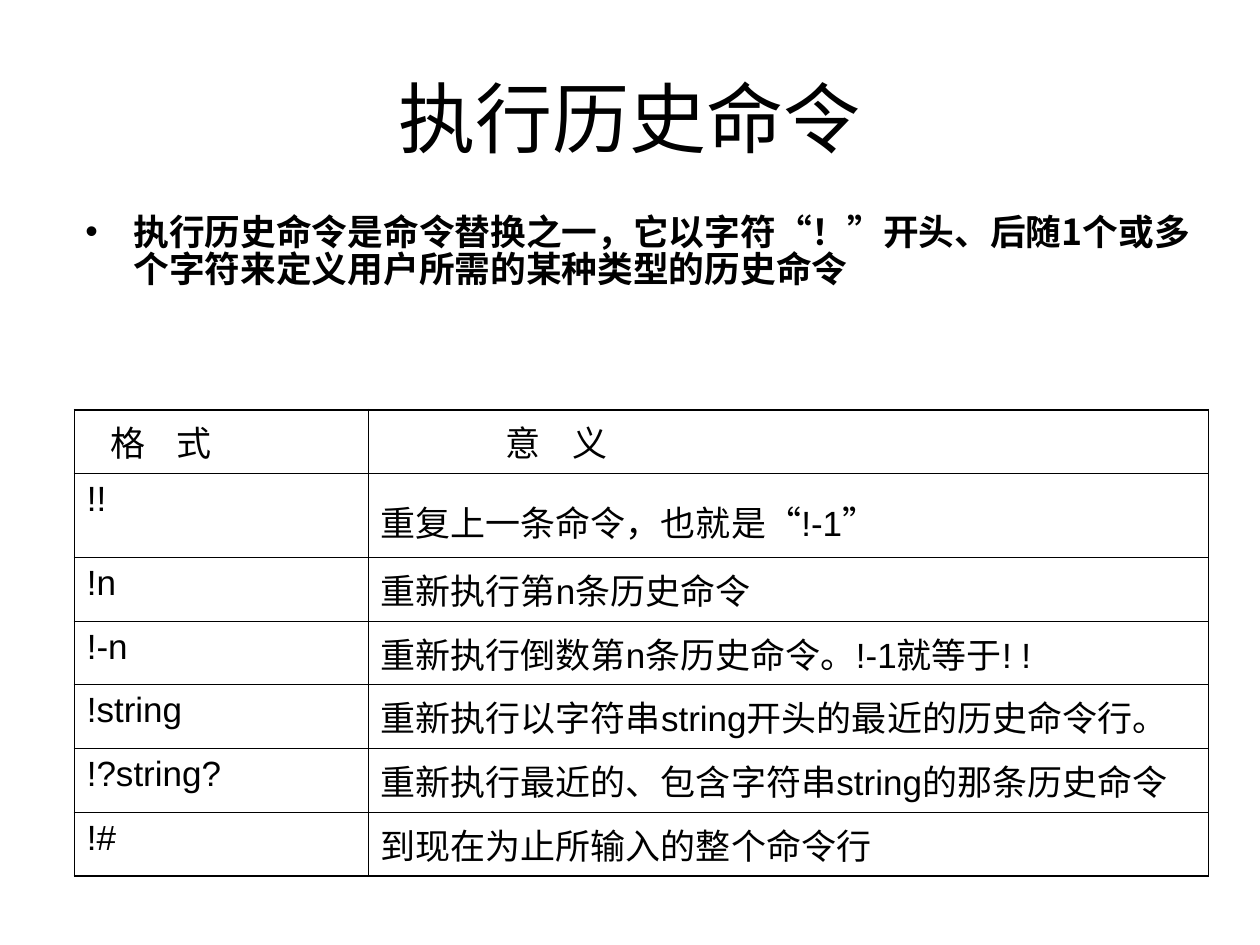
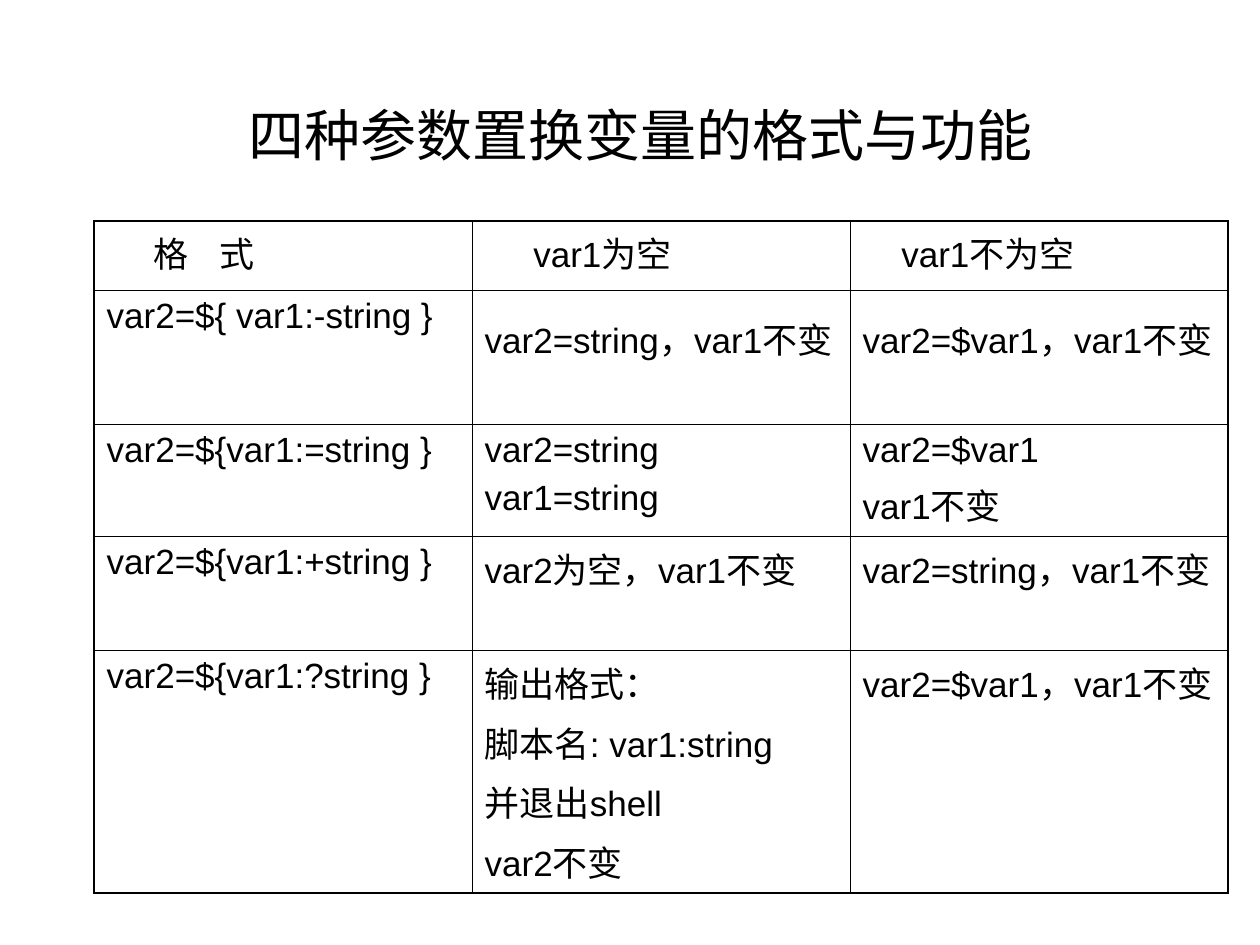
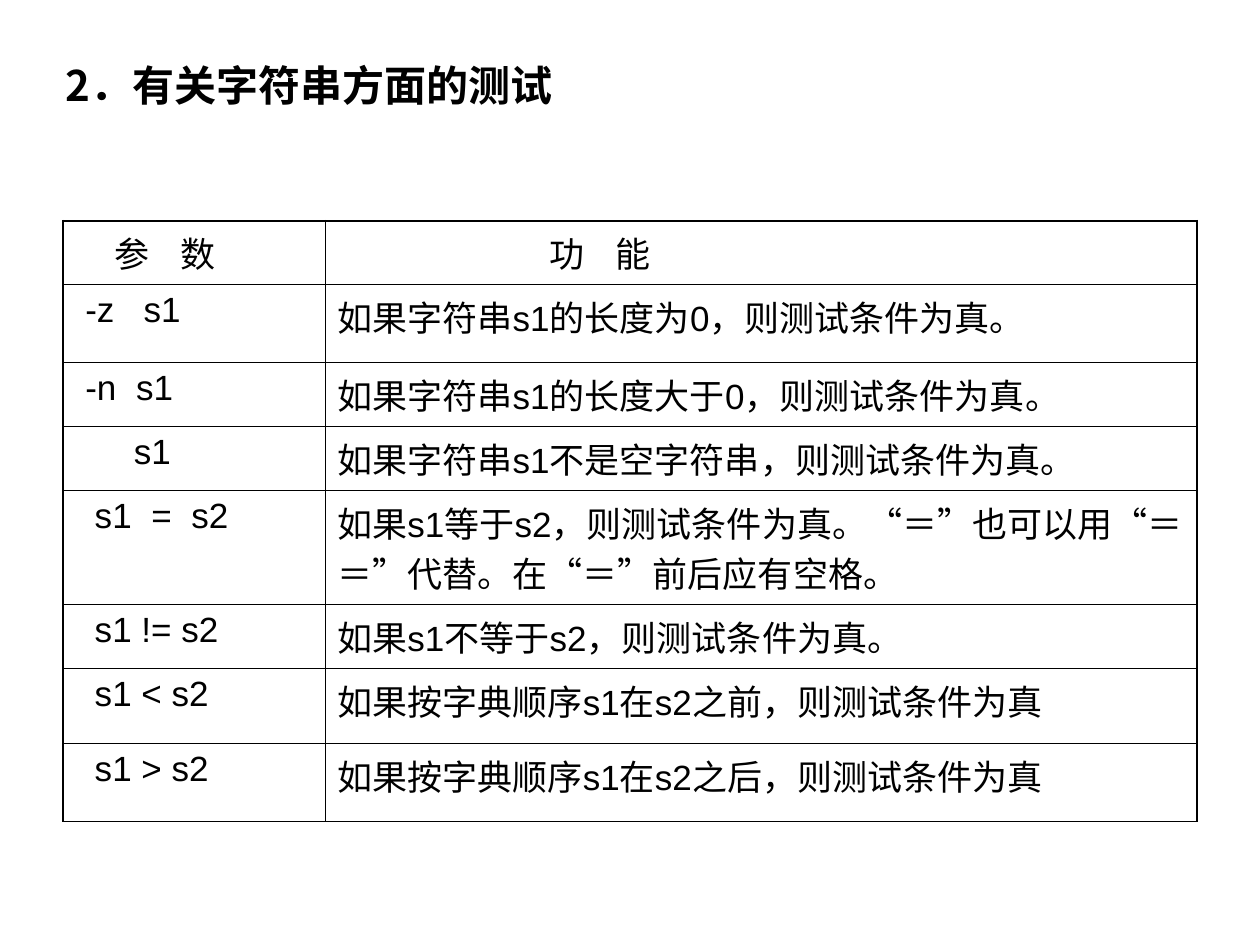
from dataclasses import dataclass

from lxml import etree
from pptx import Presentation
from pptx.dml.color import RGBColor
from pptx.enum.text import MSO_ANCHOR, MSO_AUTO_SIZE, PP_ALIGN
from pptx.oxml.ns import qn
from pptx.util import Cm, Pt

CENTER, JUSTIFY = PP_ALIGN.CENTER, PP_ALIGN.JUSTIFY
TOP, MIDDLE = MSO_ANCHOR.TOP, MSO_ANCHOR.MIDDLE
NO_AUTOFIT = MSO_AUTO_SIZE.NONE
TITLE_ONLY = 5


@dataclass(frozen=True)
class Theme:
    ink: RGBColor = RGBColor(0, 0, 0)
    latin: str = "Arial"
    cjk: str = "Noto Sans CJK SC"
    title: float = 44
    subtitle: float = 32
    section: float = 24
    lead: float = 20.4
    lead_spacing: float = 0.85
    cell: float = 20
    cell_tail: float = 28
    outer_line: float = 1.08
    inner_line: float = 0.45
    hanging: float = 0.97


@dataclass(frozen=True)
class Entry:
    """Cell text; indent in cm, gap in points added to every space."""
    text: str
    indent: float = 0
    gap: float = 0
    tall: bool = False


def heading(text, indent):
    return Entry(text, indent, gap=13.2)


class Deck:
    def __init__(self, theme):
        self.theme = theme
        self.prs = Presentation()
        self.prs.slide_width, self.prs.slide_height = Cm(25.4), Cm(19.05)
        self.slide = None

    def new_slide(self):
        self.slide = self.prs.slides.add_slide(self.prs.slide_layouts[TITLE_ONLY])

    def style(self, run, size, latin, bold=False, spacing=0):
        run.font.size, run.font.bold = Pt(size), bold
        run.font.color.rgb = self.theme.ink
        run.font.name = latin
        props = run._r.get_or_add_rPr()
        etree.SubElement(props, qn("a:ea")).set("typeface", self.theme.cjk)
        if spacing:
            props.set("spc", str(round(spacing * 100)))

    def indent(self, paragraph, left, first=0):
        props = paragraph._p.get_or_add_pPr()
        props.set("marL", str(Cm(left)))
        props.set("indent", str(Cm(first)))
        return props

    def place(self, shape, box):
        shape.left, shape.top, shape.width, shape.height = map(Cm, box)

    def title(self, text, box, size, latin, align=CENTER, anchor=TOP,
              bold=False, hanging=0):
        shape = self.slide.shapes.title
        self.place(shape, box)
        frame = shape.text_frame
        frame.text = text
        frame.word_wrap, frame.auto_size = True, NO_AUTOFIT
        frame.vertical_anchor = anchor
        paragraph = frame.paragraphs[0]
        paragraph.alignment = align
        self.indent(paragraph, hanging, -hanging)
        self.style(paragraph.runs[0], size, latin, bold)

    def bullet(self, text, box):
        frame = self.slide.shapes.add_textbox(*map(Cm, box)).text_frame
        frame.text = text
        frame.word_wrap, frame.auto_size = True, NO_AUTOFIT
        paragraph = frame.paragraphs[0]
        paragraph.line_spacing = self.theme.lead_spacing
        paragraph.space_before = Pt(6)
        hanging = self.theme.hanging
        props = self.indent(paragraph, hanging, -hanging)
        etree.SubElement(props, qn("a:buFont")).set("typeface", self.theme.latin)
        etree.SubElement(props, qn("a:buChar")).set("char", "•")
        self.style(paragraph.runs[0], self.theme.lead, self.theme.cjk, bold=True)

    def table(self, box, widths, heights, rows):
        table = self.slide.shapes.add_table(
            len(rows), len(widths), *map(Cm, box)).table
        table.first_row = table.horz_banding = False
        for column, width in zip(table.columns, widths):
            column.width = Cm(width)
        for row, height in zip(table.rows, heights):
            row.height = Cm(height)
        for r, entries in enumerate(rows):
            for c, entry in enumerate(entries):
                cell = table.cell(r, c)
                self.fill_cell(cell, entry if isinstance(entry, Entry) else Entry(entry))
                self.borders(cell, L=c == 0, R=c == len(widths) - 1,
                             T=r == 0, B=r == len(rows) - 1)
                cell.fill.background()

    def fill_cell(self, cell, entry):
        theme = self.theme
        cell.margin_left = cell.margin_right = Cm(0.25)
        cell.margin_top = cell.margin_bottom = Cm(0.13)
        cell.text_frame.text = entry.text
        for paragraph in cell.text_frame.paragraphs:
            paragraph.space_before = Pt(7 if entry.tall else 5)
            self.indent(paragraph, entry.indent)
            if entry.gap:
                self.widen_spaces(paragraph, entry.gap)
            else:
                self.style(paragraph.runs[0], theme.cell, theme.latin)
            if entry.tall:
                tail = paragraph.add_run()
                tail.text = " "
                self.style(tail, theme.cell_tail, theme.latin)

    def widen_spaces(self, paragraph, gap):
        """Give each space its own run with extra letter spacing."""
        words = paragraph.text.split(" ")
        paragraph.text = words[0]
        for word in words[1:]:
            for part in (" ", word):
                paragraph.add_run().text = part
        for run in paragraph.runs:
            self.style(run, self.theme.cell, self.theme.latin,
                       spacing=gap if run.text == " " else 0)

    def borders(self, cell, **is_outer):
        """Draw the four sides; outer sides are heavier."""
        theme = self.theme
        props = cell._tc.get_or_add_tcPr()
        for side, outer in is_outer.items():
            line = etree.SubElement(props, qn(f"a:ln{side}"))
            line.set("w", str(Pt(theme.outer_line if outer else theme.inner_line)))
            fill = etree.SubElement(line, qn("a:solidFill"))
            etree.SubElement(fill, qn("a:srgbClr")).set("val", str(theme.ink))


def history_slide(deck):
    theme = deck.theme
    deck.new_slide()
    deck.title("执行历史命令", (1.27, 0.76, 22.86, 3.18), theme.title,
               theme.latin, anchor=MIDDLE)
    deck.table((1.5, 8.26, 22.86, 8.05), (5.92, 16.94), (1.28, 1.6) + (1.28,) * 5, [
        (heading("格 式", 0.47), heading("意 义", 2.53)),
        ("!!", Entry("重复上一条命令，也就是“!-1”", tall=True)),
        ("!n", "重新执行第n条历史命令"),
        ("!-n", "重新执行倒数第n条历史命令。!-1就等于! !"),
        ("!string", "重新执行以字符串string开头的最近的历史命令行。"),
        ("!?string?", "重新执行最近的、包含字符串string的那条历史命令"),
        ("!#", "到现在为止所输入的整个命令行"),
    ])
    deck.bullet("执行历史命令是命令替换之一，它以字符“！”开头、后随1个或多个字符"
                "来定义用户所需的某种类型的历史命令", (1.47, 4.24, 22.86, 3.18))


def substitution_slide(deck):
    theme = deck.theme
    deck.new_slide()
    deck.title("四种参数置换变量的格式与功能", (2.44, 1.9, 20.96, 1.7),
               theme.subtitle, theme.cjk)
    deck.table((1.9, 4.45, 22.86, 12.5), (7.62,) * 3, (1.4, 2.29, 2.18, 1.96, 4.67), [
        (heading("格 式", 0.95), Entry("var1为空", 0.98), Entry("var1不为空", 0.78)),
        ("var2=${ var1:-string }", Entry("var2=string，var1不变", tall=True),
         Entry("var2=$var1，var1不变", tall=True)),
        ("var2=${var1:=string }", "var2=string\nvar1=string", "var2=$var1\nvar1不变"),
        ("var2=${var1:+string }", "var2为空，var1不变", "var2=string，var1不变"),
        ("var2=${var1:?string }",
         "输出格式：\n脚本名: var1:string\n并退出shell\nvar2不变",
         "var2=$var1，var1不变"),
    ])


def string_test_slide(deck):
    theme = deck.theme
    deck.new_slide()
    deck.title("2．有关字符串方面的测试", (1.07, 1.07, 24.33, 15.67), theme.section,
               theme.cjk, align=JUSTIFY, bold=True, hanging=theme.hanging)
    deck.table((1.27, 4.45, 22.86, 11.81), (5.28, 17.58),
               (1.22, 1.57, 1.22, 1.22, 2.31, 1.2, 1.52, 1.57), [
        (heading("参 数", 0.79), heading("功 能", 4.27)),
        (Entry("-z s1", 0.2, gap=11.1), "如果字符串s1的长度为0，则测试条件为真。"),
        (Entry("-n s1", 0.2, gap=5.6), "如果字符串s1的长度大于0，则测试条件为真。"),
        (Entry("s1", 1.18), "如果字符串s1不是空字符串，则测试条件为真。"),
        (Entry("s1 = s2", 0.39, gap=5.6),
         "如果s1等于s2，则测试条件为真。“＝”也可以用“＝＝”代替。在“＝”前后应有空格。"),
        (Entry("s1 != s2", 0.39), "如果s1不等于s2，则测试条件为真。"),
        (Entry("s1 < s2", 0.39), "如果按字典顺序s1在s2之前，则测试条件为真"),
        (Entry("s1 > s2", 0.39), "如果按字典顺序s1在s2之后，则测试条件为真"),
    ])


def main():
    deck = Deck(Theme())
    history_slide(deck)
    substitution_slide(deck)
    string_test_slide(deck)
    deck.prs.save("out.pptx")


if __name__ == "__main__":
    main()
